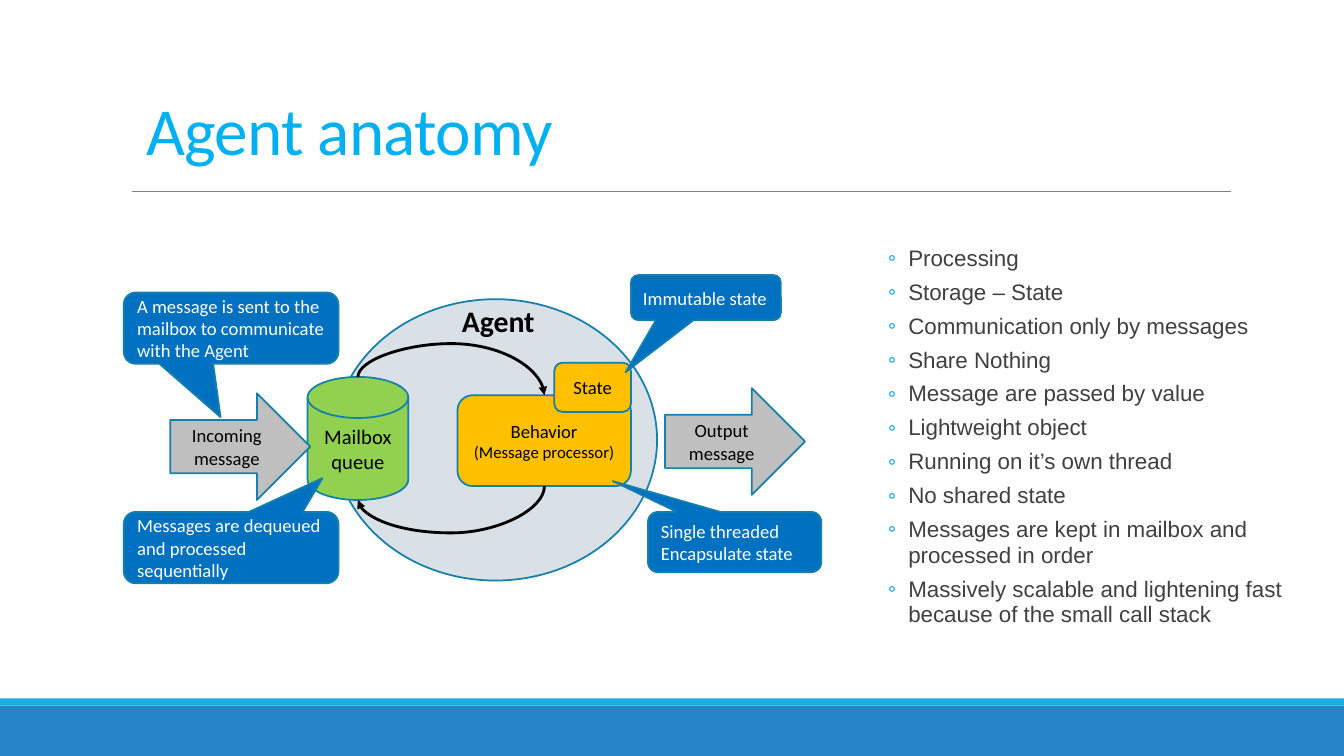
from lxml.etree import SubElement
from pptx import Presentation
from pptx.dml.color import RGBColor
from pptx.enum.shapes import MSO_CONNECTOR, MSO_SHAPE
from pptx.enum.text import MSO_ANCHOR, MSO_AUTO_SIZE, PP_ALIGN
from pptx.oxml.ns import qn
from pptx.util import Cm, Pt

OUTLINE, GREY, AMBER, BLUE = "1580A9", "BFBFBF", "FFC000", "0070C0"


def paint(colour_format, colour):
    """Give a font, a fill or a line its colour."""
    if hasattr(colour_format, "solid"):
        colour_format.solid()
        colour_format = colour_format.fore_color
    elif hasattr(colour_format, "color"):
        colour_format = colour_format.color
    colour_format.rgb = RGBColor.from_string(colour)


def write(box, text, sizes, colour, align=PP_ALIGN.CENTER, font="Calibri"):
    """Write one paragraph per line; the last size serves any further lines."""
    frame = box.text_frame
    frame.word_wrap = True
    frame.vertical_anchor = MSO_ANCHOR.MIDDLE
    frame.text = text
    for number, para in enumerate(frame.paragraphs):
        para.alignment = align
        for span in para.runs:
            span.font.name = font
            span.font.size = Pt(sizes[min(number, len(sizes) - 1)])
            paint(span.font, colour)


deck = Presentation()
deck.slide_width, deck.slide_height = Cm(33.87), Cm(19.05)
page = deck.slides.add_slide(deck.slide_layouts[5])
shapes = page.shapes

# Title
title = shapes.title
title.left, title.top, title.width, title.height = Cm(3.43), Cm(1.57), Cm(30.43), Cm(2.82)
write(title, "Agent anatomy", [48], "00B0F0", PP_ALIGN.LEFT)
title.text_frame.auto_size = MSO_AUTO_SIZE.NONE
title.text_frame.vertical_anchor = MSO_ANCHOR.BOTTOM
title_para = title.text_frame.paragraphs[0]
title_para.line_spacing = 0.85
title_para.runs[0].font._element.set("spc", "-50")

# Footer bands and the rule under the title
for top, height, colour in [(17.78, 1.27, "2683C6"), (17.6, 0.18, "1CADE4")]:
    band = shapes.add_shape(MSO_SHAPE.RECTANGLE, 0, Cm(top), deck.slide_width, Cm(height))
    band.shadow.inherit = False
    paint(band.fill, colour)
    band.line.fill.background()

rule = shapes.add_connector(MSO_CONNECTOR.STRAIGHT, Cm(3.33), Cm(4.83), Cm(31.01), Cm(4.83))
rule.line.width = Pt(0.5)
paint(rule.line, "808080")
SubElement(rule._element.spPr, qn("a:effectLst"))

# Agent, its parts and the message arrows: kind, place, fill, text, sizes
parts = [
    (MSO_SHAPE.OVAL, (8.41, 7.54, 8.15, 7.09), "D9E0E6", "", [13.3]),
    (MSO_SHAPE.ROUNDED_RECTANGLE, (11.53, 9.96, 4.37, 2.29), AMBER,
     "Behavior\n(Message processor)", [13.3, 12]),
    (MSO_SHAPE.ROUNDED_RECTANGLE, (13.97, 9.14, 1.93, 1.24), AMBER, "State", [13.3]),
    (MSO_SHAPE.FLOWCHART_MAGNETIC_DISK, (7.75, 9.5, 2.54, 3.1), "92D050",
     "Mailbox\nqueue", [14.7]),
    (MSO_SHAPE.RIGHT_ARROW, (4.29, 9.91, 3.53, 2.69), GREY, "Incoming message", [13.3]),
    (MSO_SHAPE.RIGHT_ARROW, (16.76, 9.78, 3.53, 2.69), GREY, "Output\nmessage", [13.3]),
]
for kind, place, colour, text, sizes in parts:
    part = shapes.add_shape(kind, *map(Cm, place))
    part.shadow.inherit = False
    paint(part.fill, colour)
    paint(part.line, OUTLINE)
    part.line.width = Pt(1.25)
    write(part, text, sizes, "000000")

# Curved arrows between mailbox and behavior: start, end, bend, turn in degrees
loops = [((9.02, 9.5), (13.72, 9.96), -1.83, 270), ((13.72, 12.25), (9.02, 12.6), 3.37, 90)]
for (x1, y1), (x2, y2), bend, turn in loops:
    # The box before turning has its width and height exchanged
    width, height = y2 - y1, abs(x2 - x1)
    left, top = (x1 + x2 - width) / 2, (y1 + y2 - height) / 2
    ends = (left + width, left) if turn == 270 else (left, left + width)
    loop = shapes.add_connector(
        MSO_CONNECTOR.CURVE, Cm(ends[0]), Cm(top), Cm(ends[1]), Cm(top + height))
    properties = loop._element.spPr
    properties.find(qn("a:xfrm")).set("rot", str(turn * 60000))
    geometry = properties.find(qn("a:prstGeom"))
    guides = geometry.find(qn("a:avLst"))
    if guides is None:
        guides = SubElement(geometry, qn("a:avLst"))
    SubElement(guides, qn("a:gd"), name="adj1", fmla=f"val {round(bend * 100000)}")
    loop.line.width = Pt(2)
    paint(loop.line, "000000")
    SubElement(loop.line._get_or_add_ln(), qn("a:tailEnd"), type="triangle")
    SubElement(properties, qn("a:effectLst"))

# Callouts: place, pointer tip, text
callouts = [
    ((15.9, 6.93, 3.78, 1.14), (-0.535, 1.648), "Immutable state"),
    ((16.33, 12.9, 4.37, 1.52), (-0.703, -1.011), "Single threaded\nEncapsulate state"),
    ((3.12, 7.37, 5.41, 1.8), (-0.049, 1.246),
     "A message is sent to the mailbox to communicate with the Agent"),
    ((3.12, 12.9, 5.41, 1.8), (0.426, -0.973),
     "Messages are dequeued and processed sequentially"),
]
for place, tip, text in callouts:
    callout = shapes.add_shape(MSO_SHAPE.ROUNDED_RECTANGULAR_CALLOUT, *map(Cm, place))
    callout.shadow.inherit = False
    callout.adjustments[0], callout.adjustments[1] = tip
    paint(callout.fill, BLUE)
    paint(callout.line, OUTLINE)
    callout.line.width = Pt(1.25)
    write(callout, text, [13.3], "FFFFFF", PP_ALIGN.LEFT)

# Agent heading
heading = shapes.add_textbox(Cm(11.35), Cm(7.49), Cm(2.41), Cm(1.17))
write(heading, "Agent", [21.3], "000000")
heading.text_frame.word_wrap = False
heading.text_frame.paragraphs[0].runs[0].font.bold = True

# Bullet list
traits = [
    "Processing",
    "Storage – State",
    "Communication only by messages",
    "Share Nothing",
    "Message are passed by value",
    "Lightweight object",
    "Running on it’s own thread",
    "No shared state",
    "Messages are kept in mailbox and processed in order",
    "Massively scalable and lightening fast because of the small call stack",
]
box = shapes.add_textbox(Cm(21.82), Cm(6.07), Cm(11.61), Cm(11.5))
write(box, "\n".join(traits), [16], "404040", PP_ALIGN.LEFT, "Arial")
box.text_frame.vertical_anchor = MSO_ANCHOR.TOP
box.text_frame.margin_left = box.text_frame.margin_right = 0
for number, para in enumerate(box.text_frame.paragraphs):
    para.line_spacing = 0.95
    para.space_before = Pt(2 if number else 0)
    para.space_after = Pt(4)
    settings = para._p.get_or_add_pPr()
    settings.set("marL", str(Cm(1.07)))
    settings.set("indent", str(Cm(-0.51)))
    bullet_colour = SubElement(settings, qn("a:buClr"))
    SubElement(bullet_colour, qn("a:srgbClr"), val="1CADE4")
    SubElement(settings, qn("a:buFont"), typeface="Calibri")
    SubElement(settings, qn("a:buChar"), char="◦")

deck.save("out.pptx")
